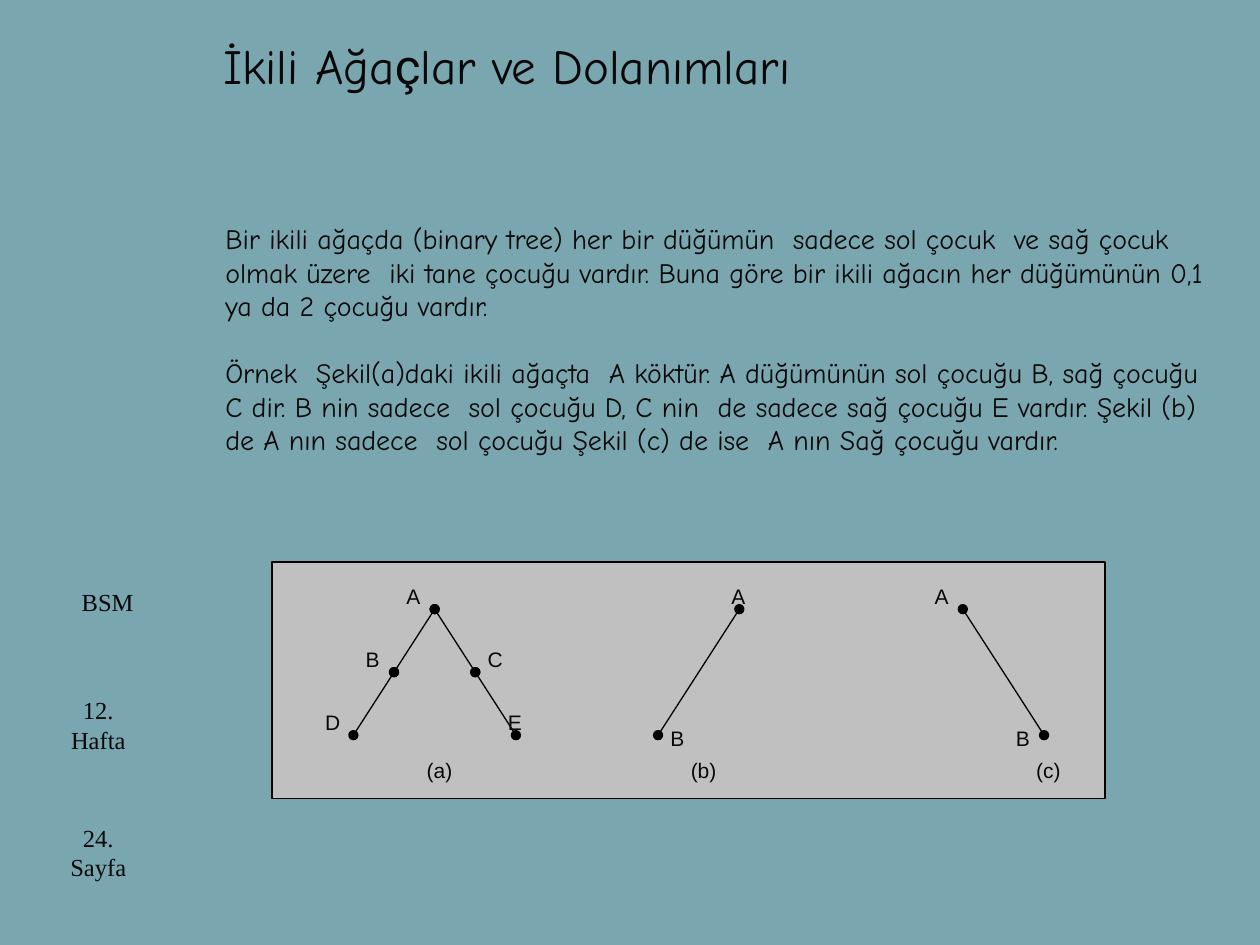
from lxml.etree import SubElement
from pptx import Presentation
from pptx.dml.color import RGBColor
from pptx.enum.shapes import MSO_CONNECTOR as Connector, MSO_SHAPE as Shape
from pptx.enum.text import MSO_ANCHOR as Anchor, PP_ALIGN as Align
from pptx.oxml.ns import qn
from pptx.util import Inches, Pt

COLORS = {"background": "7AA6B0", "ink": "080808", "panel": "C0C0C0", "line": "000000"}
PANEL_LEFT, PANEL_TOP = 2.16, 4.46
COLUMN, ROW = 6.61 / 41, 0.125
TITLE_FORMAT = {"name": "Comic Neue", "size": Pt(28)}
BODY_FORMAT = {"name": "Comic Neue", "size": Pt(16)}
LABEL_FORMAT = {"name": "Arial", "size": Pt(12)}
SIDE_FORMAT = {"name": "Times New Roman", "size": Pt(14)}

TITLE_PARTS = [("İkili Ağa", "Comic Neue"), ("ç", "Roboto"), ("lar ve Dolanımları", "Comic Neue")]
BODY = [
    "Bir ikili ağaçda (binary tree) her bir düğümün  sadece sol çocuk  ve sağ çocuk "
    "olmak üzere  iki tane çocuğu vardır. Buna göre bir ikili ağacın her düğümünün 0,1 "
    "ya da 2 çocuğu vardır.",
    "Örnek  Şekil(a)daki ikili ağaçta  A köktür. A düğümünün sol çocuğu B, sağ çocuğu "
    "C dir. B nin sadece  sol çocuğu D, C nin  de sadece sağ çocuğu E vardır. Şekil (b) "
    "de A nın sadece  sol çocuğu Şekil (c) de ise  A nın Sağ çocuğu vardır.",
]
BRANCHES = [(8, -2, True), (8, 2, True), (23, -2, False), (34, 2, False)]
LABELS = [
    ("A", 6, 1), ("B", 4, 5), ("C", 10, 5), ("D", 2, 9), ("E", 11, 9),
    ("A", 22, 1), ("B", 19, 10), ("A", 32, 1), ("B", 36, 10),
    ("(a)", 7, 12), ("(b)", 20, 12), ("(c)", 37, 12),
]
SIDE_NOTES = [
    ("12. Hafta", (0.39, 5.47, 0.78, 0.7), Align.CENTER),
    ("24. Sayfa", (0.39, 6.48, 0.78, 0.62), Align.CENTER),
    ("BSM", (0.55, 4.61, 0.62, 0.34), Align.LEFT),
]


def color(name):
    """Return the named colour."""
    return RGBColor.from_string(COLORS[name])


def grid_point(column, row):
    """Return the position of a grid crossing inside the panel, in inches."""
    return PANEL_LEFT + column * COLUMN, PANEL_TOP + row * ROW


def style_font(font, formats):
    """Apply the format values and the ink colour to a font."""
    for attribute, value in formats.items():
        setattr(font, attribute, value)
    font.color.rgb = color("ink")


def add_text(slide, paragraphs, box, formats, align=Align.LEFT, anchor=Anchor.TOP, gap=0):
    """Add a wrapped text box with one font and a gap between paragraphs."""
    frame = slide.shapes.add_textbox(*map(Inches, box)).text_frame
    frame.word_wrap = True
    frame.vertical_anchor = anchor
    for index, text in enumerate(paragraphs):
        paragraph = frame.add_paragraph() if index else frame.paragraphs[0]
        paragraph.alignment = align
        if index:
            paragraph.space_before = Pt(gap)
        run = paragraph.add_run()
        run.text = text
        style_font(run.font, formats)


def fill_title(slide):
    """Move the title placeholder and write its runs."""
    title = slide.shapes.title
    box = {"left": 1.67, "top": 0.08, "width": 8.07, "height": 0.87}
    for attribute, value in box.items():
        setattr(title, attribute, Inches(value))
    title.text_frame.vertical_anchor = Anchor.MIDDLE
    paragraph = title.text_frame.paragraphs[0]
    paragraph.alignment = Align.LEFT
    for text, font_name in TITLE_PARTS:
        run = paragraph.add_run()
        run.text = text
        style_font(run.font, {**TITLE_FORMAT, "name": font_name})


def add_panel(slide):
    """Add the grey panel behind the trees."""
    box = (PANEL_LEFT, PANEL_TOP, 41 * COLUMN, 15 * ROW)
    panel = slide.shapes.add_shape(Shape.RECTANGLE, *map(Inches, box))
    panel.shadow.inherit = False
    panel.fill.solid()
    panel.fill.fore_color.rgb = color("panel")
    panel.line.color.rgb = color("line")
    panel.line.width = Pt(0.75)


def add_edge(slide, start, end, dots):
    """Join two grid crossings, with node dots at the ends listed in dots."""
    points = (*grid_point(*start), *grid_point(*end))
    edge = slide.shapes.add_connector(Connector.STRAIGHT, *map(Inches, points))
    edge.line.color.rgb = color("line")
    edge.line.width = Pt(0.75)
    properties = edge.element.spPr
    for dot in dots:
        SubElement(properties.find(qn("a:ln")), qn(f"a:{dot}"), type="oval")
    SubElement(properties, qn("a:effectLst"))


def add_branch(slide, root, step, has_middle_node):
    """Draw a two-edge branch from a root, sloping by step columns per level."""
    middle = (root + step, 7)
    add_edge(slide, (root, 3), middle, ["headEnd", "tailEnd"] if has_middle_node else ["headEnd"])
    add_edge(slide, middle, (root + 2 * step, 11),
             ["headEnd", "tailEnd"] if has_middle_node else ["tailEnd"])


def main():
    """Build the slide on binary trees."""
    deck = Presentation()
    deck.slide_width, deck.slide_height = Inches(10), Inches(7.5)
    slide = deck.slides.add_slide(deck.slide_layouts[5])
    slide.background.fill.solid()
    slide.background.fill.fore_color.rgb = color("background")
    fill_title(slide)
    add_text(slide, BODY, (1.69, 1.57, 8.03, 2.24), BODY_FORMAT, anchor=Anchor.MIDDLE, gap=19)
    add_panel(slide)
    for branch in BRANCHES:
        add_branch(slide, *branch)
    for text, column, row in LABELS:
        add_text(slide, [text], (*grid_point(column, row), 3 * COLUMN, 3 * ROW), LABEL_FORMAT)
    for text, box, align in SIDE_NOTES:
        add_text(slide, [text], box, SIDE_FORMAT, align)
    deck.save("out.pptx")


if __name__ == "__main__":
    main()
